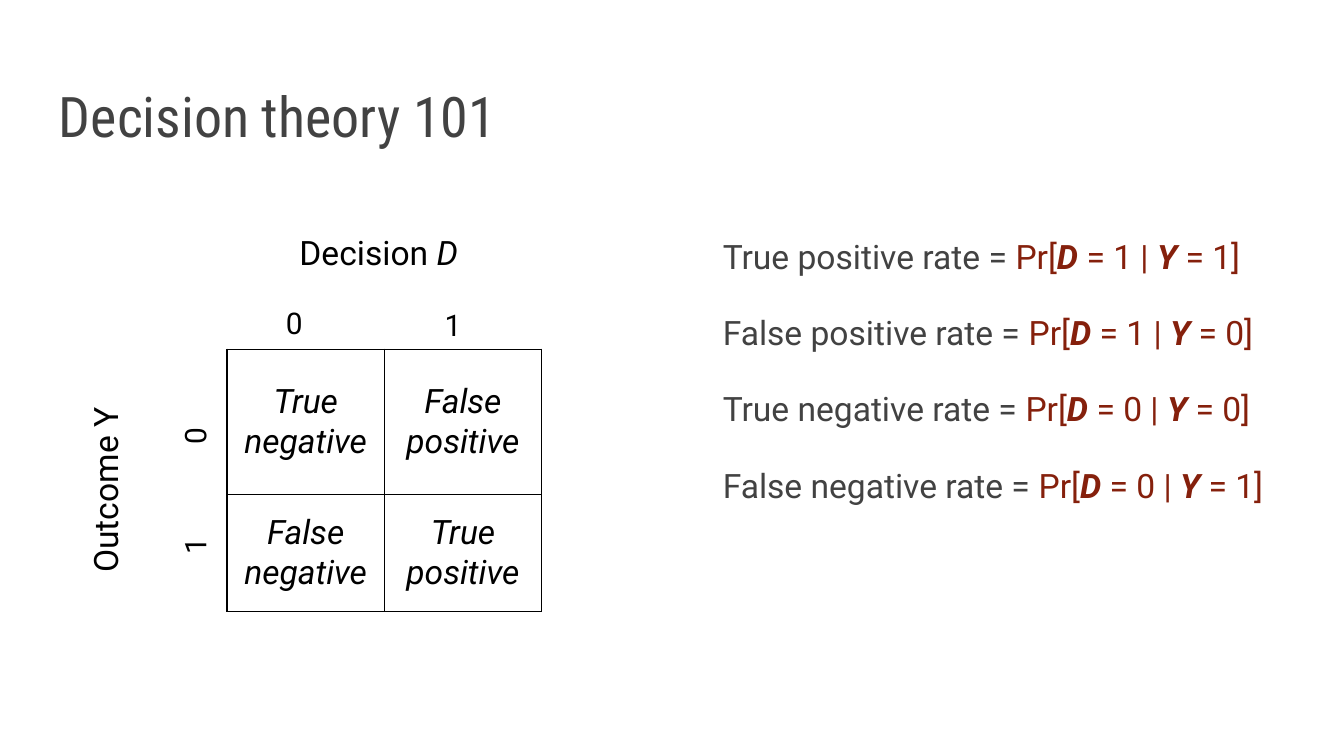
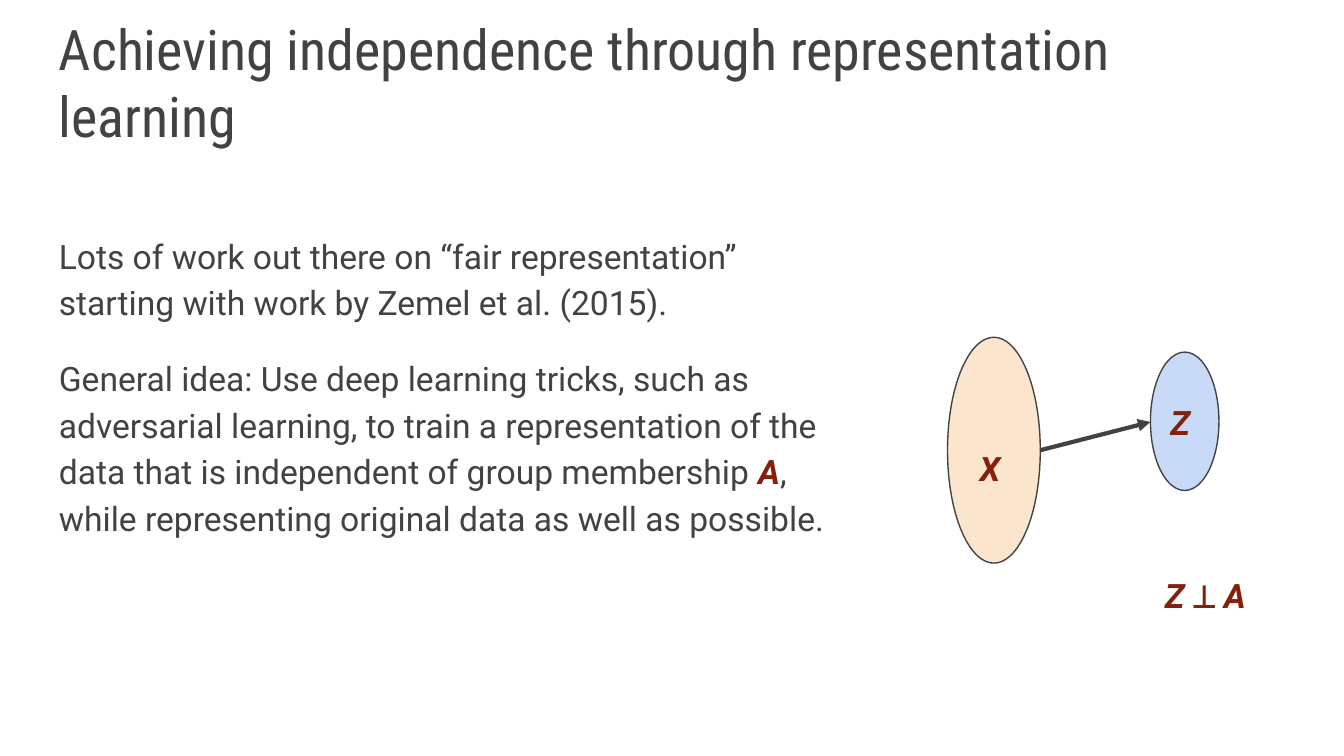
from dataclasses import dataclass
from pptx import Presentation
from pptx.dml.color import RGBColor as Rgb
from pptx.enum.shapes import MSO_CONNECTOR as Link, MSO_SHAPE as Form
from pptx.enum.text import MSO_ANCHOR as Anchor, PP_ALIGN as Align
from pptx.oxml import parse_xml
from pptx.oxml.ns import nsdecls
from pptx.util import Pt

SCALE = 9144


@dataclass(frozen=True)
class Theme:
    grey: str = "424242"
    red: str = "85200C"
    black: str = "000000"
    peach: str = "FCE5CD"
    blue: str = "C9DAF8"
    face: str = "Roboto"
    head: str = "Roboto Condensed"
    title: int = 30
    text: int = 18
    mark: int = 16
    gap: int = 16
    lead: float = 1.15


T = Theme()
PLAIN = {"name": T.face, "size": Pt(T.text), "bold": False, "italic": False}
HEAD = (T.grey, PLAIN | {"name": T.head, "size": Pt(T.title)})
BODY = (T.grey, PLAIN)
MATH = (T.red, PLAIN)
STRONG = (T.red, PLAIN | {"bold": True})
VAR = (T.red, PLAIN | {"bold": True, "italic": True})
LABEL = (T.black, PLAIN)
SLANT = (T.black, PLAIN | {"italic": True})
MARK = (T.black, PLAIN | {"size": Pt(T.mark)})


def px(*sizes):
    return [size * SCALE for size in sizes]


def put(item, fmt):
    for key, value in fmt.items():
        setattr(item, key, value)


def add_runs(par, runs):
    for text, (ink, fmt) in runs:
        run = par.add_run()
        run.text = text
        put(run.font, fmt)
        run.font.color.rgb = Rgb.from_string(ink)


def add_text(slide, at, *pars, pad=10, turn=0, anchor=Anchor.TOP, lead=None):
    box = slide.shapes.add_textbox(*px(*at))
    box.rotation = turn
    frame = box.text_frame
    side, edge = px(10, pad)
    put(frame, {"word_wrap": True, "vertical_anchor": anchor,
                "margin_left": side, "margin_right": side,
                "margin_top": edge, "margin_bottom": edge})
    for i, runs in enumerate(pars):
        par = frame.add_paragraph() if i else frame.paragraphs[0]
        if lead:
            par.line_spacing = lead
        if i:
            par.space_before = Pt(T.gap)
        add_runs(par, runs)


def add_label(slide, at, *runs, turn=0):
    add_text(slide, at, runs, pad=5, turn=turn)


def add_slide(deck, title):
    slide = deck.slides.add_slide(deck.slide_layouts[6])
    add_text(slide, (34, 41, 932, 80), [(title, HEAD)], anchor=Anchor.BOTTOM)
    return slide


def add_edge(cell):
    props = cell._tc.get_or_add_tcPr()
    for i, side in enumerate(("lnL", "lnR", "lnT", "lnB")):
        props.insert(i, parse_xml(
            f'<a:{side} {nsdecls("a")} w="{Pt(1)}"><a:solidFill>'
            f'<a:srgbClr val="{T.black}"/></a:solidFill></a:{side}>'))


def add_grid(slide, left, top, wide, highs, rows):
    count = len(rows[0])
    table = slide.shapes.add_table(
        len(rows), count,
        *px(left, top, wide * count, sum(highs))).table
    put(table, {"first_row": False, "horz_banding": False})
    for col in table.columns:
        col.width = px(wide)[0]
    for row, high, words in zip(table.rows, highs, rows):
        row.height = px(high)[0]
        for cell, text in zip(row.cells, words):
            cell.vertical_anchor = Anchor.MIDDLE
            cell.fill.background()
            add_edge(cell)
            par = cell.text_frame.paragraphs[0]
            par.alignment = Align.CENTER
            add_runs(par, [(text, SLANT)])


def add_oval(slide, at, fill):
    oval = slide.shapes.add_shape(Form.OVAL, *px(*at))
    oval.shadow.inherit = False
    oval.fill.solid()
    oval.fill.fore_color.rgb = Rgb.from_string(fill)
    oval.line.color.rgb = Rgb.from_string(T.grey)
    oval.line.width = Pt(0.75)


def add_arrow(slide, start, end):
    arrow = slide.shapes.add_connector(Link.STRAIGHT, *px(*start, *end))
    arrow.line.color.rgb = Rgb.from_string(T.grey)
    arrow.line.width = Pt(2.25)
    arrow.line._get_or_add_ln().append(
        parse_xml(f'<a:tailEnd {nsdecls("a")} type="triangle"/>'))
    arrow._element.spPr.append(parse_xml(f'<a:effectLst {nsdecls("a")}/>'))


def rate(name, guess, truth):
    return [(f"{name} rate = ", BODY), ("Pr[", MATH), ("D", VAR),
            (f" = {guess} | ", MATH), ("Y", VAR), (f" = {truth}]", MATH)]


def draw_rates(deck):
    slide = add_slide(deck, "Decision theory 101")
    add_grid(slide, 169, 260, 117, (108, 87),
             (("True negative", "False positive"),
              ("False negative", "True positive")))
    add_label(slide, (213, 168, 149, 40), ("Decision ", LABEL), ("D", SLANT))
    add_label(slide, (-5, 333, 166, 40), ("Outcome Y", LABEL), turn=270)
    for text, left, top, turn in (("0", 203, 222, 0), ("1", 321, 223, 0),
                                  ("0", 128, 305, 270), ("1", 128, 387, 270)):
        add_label(slide, (left, top, 34, 37), (text, MARK), turn=turn)
    add_text(slide, (528, 161, 437, 285),
             rate("True positive", 1, 1), rate("False positive", 1, 0),
             rate("True negative", 0, 0), rate("False negative", 0, 1),
             lead=T.lead)


def draw_learning(deck):
    slide = add_slide(
        deck, "Achieving independence through representation learning")
    add_text(
        slide, (34, 161, 590, 395),
        [("Lots of work out there on “fair representation” starting with "
          "work by Zemel et al. (2015).", BODY)],
        [("General idea: Use deep learning tricks, such as adversarial "
          "learning, to train a representation of the data that is "
          "independent of group membership ", BODY), ("A", VAR),
         (", while representing original data as well as possible.", BODY)],
        lead=T.lead)
    add_oval(slide, (705, 251, 69, 168), T.peach)
    add_oval(slide, (856, 262, 51, 103), T.blue)
    add_arrow(slide, (774, 335), (856, 314))
    add_text(slide, (719, 323, 33, 49), [("X", VAR)])
    add_text(slide, (861, 289, 33, 49), [("Z", VAR)])
    add_text(slide, (857, 418, 143, 69),
             [("Z ", VAR), ("⟂ ", STRONG), ("A", VAR)])


def main():
    deck = Presentation()
    deck.slide_width = px(1000)[0]
    deck.slide_height = deck.slide_width * 9 // 16
    draw_rates(deck)
    draw_learning(deck)
    deck.save("out.pptx")


if __name__ == "__main__":
    main()
